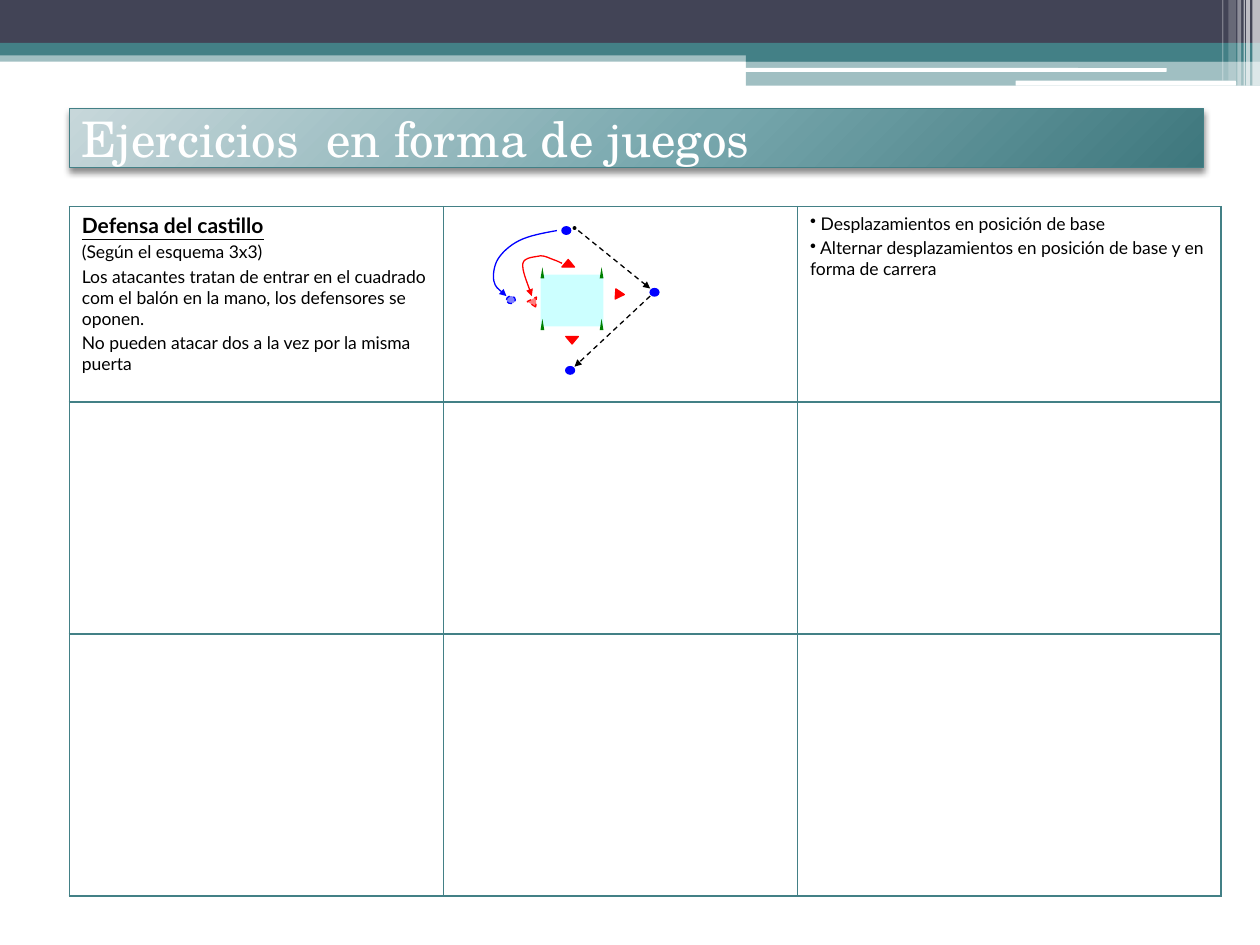
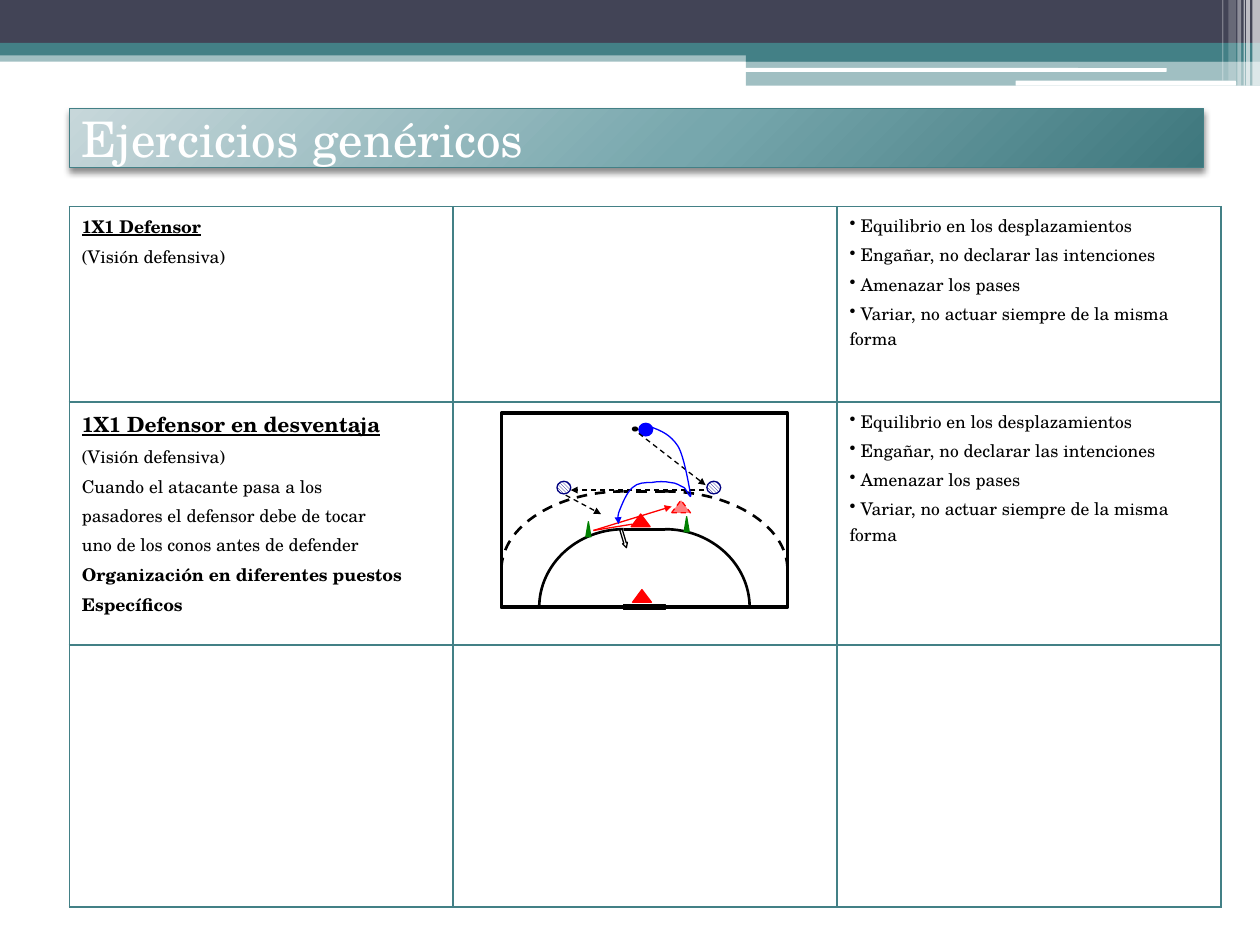
from dataclasses import dataclass

from lxml.etree import SubElement
from pptx import Presentation
from pptx.dml.color import RGBColor
from pptx.enum.dml import MSO_LINE, MSO_PATTERN
from pptx.enum.shapes import MSO_CONNECTOR, MSO_SHAPE
from pptx.enum.text import MSO_ANCHOR, PP_ALIGN
from pptx.oxml import parse_xml
from pptx.oxml.ns import nsdecls, qn
from pptx.util import Inches, Pt

TEAL = RGBColor(0x43, 0x80, 0x86)
SLATE = RGBColor(0x42, 0x44, 0x56)
WHITE = RGBColor(0xFF, 0xFF, 0xFF)
BLACK = RGBColor(0x00, 0x00, 0x00)
BLUE = RGBColor(0x00, 0x00, 0xFF)
NAVY = RGBColor(0x00, 0x00, 0x80)
RED = RGBColor(0xFF, 0x00, 0x00)
GREEN = RGBColor(0x00, 0x80, 0x00)
PALE_CYAN = RGBColor(0xCC, 0xFF, 0xFF)
SERIF = "TeX Gyre Schola"
SANS = "Lato"

RECTANGLE = MSO_SHAPE.RECTANGLE
ROUNDED = MSO_SHAPE.ROUNDED_RECTANGLE
OVAL = MSO_SHAPE.OVAL
TRIANGLE = MSO_SHAPE.ISOSCELES_TRIANGLE

BANDS = [
    (RECTANGLE, (0, 0.4, 10, 0.09), TEAL, 50),
    (RECTANGLE, (0, 0, 10, 0.34), SLATE, 100),
    (RECTANGLE, (0, 0.34, 10, 0.1), TEAL, 100),
    (RECTANGLE, (5.92, 0.39, 4.08, 0.1), TEAL, 100),
    (RECTANGLE, (5.92, 0.48, 4.08, 0.2), TEAL, 50),
    (ROUNDED, (5.91, 0.54, 3.35, 0.03), WHITE, 100),
    (ROUNDED, (8.06, 0.64, 1.75, 0.04), WHITE, 100),
    (RECTANGLE, (9.94, 0, 0.06, 0.68), WHITE, 65),
    (RECTANGLE, (9.89, 0, 0.03, 0.68), WHITE, 65),
    (RECTANGLE, (9.87, 0, 0.01, 0.68), WHITE, 60),
    (RECTANGLE, (9.82, 0, 0.03, 0.68), WHITE, 40),
    (RECTANGLE, (9.75, 0, 0.06, 0.64), WHITE, 20),
    (RECTANGLE, (9.7, 0, 0.01, 0.64), WHITE, 30),
]

TITLE_GRADIENT = f"""<a:gradFill {nsdecls('a')} rotWithShape="1"><a:gsLst>
<a:gs pos="0"><a:srgbClr val="C7D7DA"/></a:gs>
<a:gs pos="55000"><a:srgbClr val="77A7AD"/></a:gs>
<a:gs pos="100000"><a:srgbClr val="3E777D"/></a:gs></a:gsLst>
<a:path path="circle"><a:fillToRect l="-40000" t="-90000" r="140000" b="190000"/></a:path>
</a:gradFill>"""
TITLE_SHADOW = f"""<a:effectLst {nsdecls('a')}>
<a:outerShdw blurRad="50800" dist="25400" dir="5400000" rotWithShape="0">
<a:srgbClr val="000000"><a:alpha val="45000"/></a:srgbClr></a:outerShdw></a:effectLst>"""


@dataclass(frozen=True)
class TextStyle:
    """Look of one paragraph in a table cell."""

    size: int = 10
    bold: bool = False
    underline: bool = False
    bullet: bool = False


HEADING = TextStyle(12, True, True)
SUBHEADING = TextStyle(10, True, True)
BODY = TextStyle()
STRONG = TextStyle(bold=True)
BULLET = TextStyle(bullet=True)

CASTLE_CELLS = {
    (0, 0): [
        ("Defensa del castillo", HEADING),
        ("(Según el esquema 3x3)", BODY),
        ("Los atacantes tratan de entrar en el cuadrado com el balón en la mano, "
         "los defensores se oponen.", BODY),
        ("No pueden atacar dos a la vez por la misma puerta", BODY),
    ],
    (0, 2): [
        (" Desplazamientos en posición de base", BULLET),
        (" Alternar desplazamientos en posición de base y en forma de carrera", BULLET),
    ],
}
DEFENDER_TIPS = [
    (" Equilibrio en los desplazamientos", BULLET),
    (" Engañar, no declarar las intenciones", BULLET),
    (" Amenazar los pases", BULLET),
    (" Variar, no actuar siempre de la misma forma", BULLET),
]
DEFENDER_CELLS = {
    (0, 0): [("1X1 Defensor", SUBHEADING), ("(Visión defensiva)", BODY)],
    (0, 2): DEFENDER_TIPS,
    (1, 0): [
        ("1X1 Defensor en desventaja", HEADING),
        ("(Visión defensiva)", BODY),
        ("Cuando el atacante pasa a los", BODY),
        ("pasadores el defensor debe de tocar", BODY),
        ("uno de los conos antes de defender", BODY),
        ("Organización en diferentes puestos", STRONG),
        ("Específicos", STRONG),
    ],
    (1, 2): DEFENDER_TIPS,
}


def style_line(shape, color, width=0.75, dashed=False, arrow=False):
    """Set colour, width, dash and arrowhead of an outline or line."""
    shape.line.color.rgb = color
    shape.line.width = Pt(width)
    if dashed:
        shape.line.dash_style = MSO_LINE.DASH
    if arrow:
        SubElement(shape.get_or_add_ln(), qn("a:tailEnd"), type="triangle", w="sm", len="sm")


def add_figure(slide, kind, box, fill, opacity=100, line=None, width=0.75,
               dashed=False, rotation=0):
    """Add a filled preset shape, with an outline if a line colour is given."""
    shape = slide.shapes.add_shape(kind, *map(Inches, box))
    shape.shadow.inherit = False
    shape.rotation = rotation
    shape.fill.solid()
    shape.fill.fore_color.rgb = fill
    if opacity < 100:
        color = shape._element.spPr.find(qn("a:solidFill")).find(qn("a:srgbClr"))
        SubElement(color, qn("a:alpha"), val=str(opacity * 1000))
    if line is None:
        shape.line.fill.background()
    else:
        style_line(shape, line, width, dashed)
    return shape


def add_line(slide, start, end, color=BLACK, width=0.75, dashed=False, arrow=False):
    """Add a straight connector without shadow."""
    connector = slide.shapes.add_connector(
        MSO_CONNECTOR.STRAIGHT, *map(Inches, (*start, *end)))
    style_line(connector, color, width, dashed, arrow)
    SubElement(connector._element.spPr, qn("a:effectLst"))


def add_curve(slide, points, color, width=0.75, dashed=False, arrow=False):
    """Add an open cubic outline: a start, then two controls and an end per segment."""
    start, *vertices = [tuple(map(Inches, point)) for point in points]
    builder = slide.shapes.build_freeform(*start)
    builder.add_line_segments(vertices, close=False)
    shape = builder.convert_to_shape()
    outline = next(shape._element.iter(qn("a:path")))
    segments = outline.findall(qn("a:lnTo"))
    for first in range(0, len(segments), 3):
        curve = SubElement(outline, qn("a:cubicBezTo"))
        for segment in segments[first:first + 3]:
            curve.append(segment[0])
            outline.remove(segment)
    shape.shadow.inherit = False
    shape.fill.background()
    style_line(shape, color, width, dashed, arrow)


def add_title(slide, text):
    """Add the gradient title bar."""
    shape = add_figure(slide, RECTANGLE, (0.55, 0.86, 9, 0.47), TEAL, line=TEAL)
    properties = shape._element.spPr
    properties.replace(properties.find(qn("a:solidFill")), parse_xml(TITLE_GRADIENT))
    properties.replace(properties.find(qn("a:effectLst")), parse_xml(TITLE_SHADOW))
    frame = shape.text_frame
    frame.word_wrap = True
    frame.vertical_anchor = MSO_ANCHOR.MIDDLE
    paragraph = frame.paragraphs[0]
    paragraph.text = text
    paragraph.alignment = PP_ALIGN.LEFT
    paragraph.font.name = SERIF
    paragraph.font.size = Pt(28)
    paragraph.font.color.rgb = WHITE


def write_cell(cell, content, font_name):
    """Write styled paragraphs into a table cell."""
    frame = cell.text_frame
    for index, (text, style) in enumerate(content):
        paragraph = frame.add_paragraph() if index else frame.paragraphs[0]
        paragraph.text = text
        if style.bullet:
            properties = paragraph._p.get_or_add_pPr()
            SubElement(properties, qn("a:buFontTx"))
            SubElement(properties, qn("a:buChar"), char="•")
        if index:
            paragraph.space_before = Pt(2)
        font = paragraph.font
        font.name = font_name
        font.size = Pt(style.size)
        font.bold = style.bold
        font.underline = style.underline
        font.color.rgb = BLACK


def format_cell(cell):
    """Give a cell teal borders and no fill."""
    properties = cell._tc.get_or_add_tcPr()
    for side in ("a:lnL", "a:lnR", "a:lnT", "a:lnB"):
        border = SubElement(properties, qn(side), w=str(Pt(1)))
        fill = SubElement(border, qn("a:solidFill"))
        SubElement(fill, qn("a:srgbClr"), val=str(TEAL))
    cell.fill.background()


def add_exercise_table(slide, widths, heights, cells, font_name):
    """Add the exercise grid: description, drawing space and key points."""
    table = slide.shapes.add_table(
        len(heights), len(widths), Inches(0.55), Inches(1.64),
        Inches(sum(widths)), Inches(sum(heights))).table
    table.first_row = table.horz_banding = False
    for column, width in zip(table.columns, widths):
        column.width = Inches(width)
    for row, height in zip(table.rows, heights):
        row.height = Inches(height)
    for cell in table.iter_cells():
        format_cell(cell)
    for position, content in cells.items():
        write_cell(table.cell(*position), content, font_name)


def draw_castle(slide):
    """Draw the castle with its gates, defenders, attackers and moves."""
    add_figure(slide, OVAL, (4.55, 1.8, 0.02, 0.02), BLACK, line=BLACK)
    add_figure(slide, RECTANGLE, (4.29, 2.18, 0.5, 0.41), PALE_CYAN)
    for left in (4.29, 4.76):
        for top in (2.12, 2.53):
            add_figure(slide, TRIANGLE, (left, top, 0.03, 0.09), GREEN)
    for left, top in ((4.46, 1.8), (4.49, 2.91), (5.16, 2.29)):
        add_figure(slide, OVAL, (left, top, 0.07, 0.06), BLUE, line=BLUE)
    add_figure(slide, OVAL, (4.02, 2.35, 0.07, 0.06), BLUE, 50, BLUE, dashed=True)
    for box, rotation in (((4.46, 2.06, 0.1, 0.06), 0), ((4.49, 2.67, 0.1, 0.06), 180),
                          ((4.88, 2.3, 0.08, 0.07), 94)):
        add_figure(slide, TRIANGLE, box, RED, line=RED, rotation=rotation)
    add_figure(slide, TRIANGLE, (4.18, 2.36, 0.08, 0.07), RED, 50, RED,
               dashed=True, rotation=273.9)
    add_line(slide, (4.59, 1.83), (5.16, 2.29), dashed=True, arrow=True)
    add_line(slide, (5.16, 2.35), (4.56, 2.91), dashed=True, arrow=True)
    attacker_run = [(4.42, 1.83), (4.31, 1.85), (4.2, 1.87), (4.12, 1.91), (4.04, 1.95),
                    (3.98, 2.01), (3.95, 2.06), (3.92, 2.11), (3.91, 2.19), (3.92, 2.23),
                    (3.93, 2.28), (4, 2.33), (4.02, 2.35)]
    defender_run = [(4.46, 2.09), (4.44, 2.08), (4.42, 2.07), (4.39, 2.06), (4.36, 2.05),
                    (4.33, 2.03), (4.29, 2.03), (4.25, 2.04), (4.16, 2.04), (4.15, 2.09),
                    (4.14, 2.14), (4.21, 2.31), (4.22, 2.35)]
    add_curve(slide, attacker_run, BLUE, arrow=True)
    add_curve(slide, defender_run, RED, arrow=True)


def draw_court(slide):
    """Draw the half court with its goal, area line and free-throw line."""
    left_post, right_post, depth = 4.95, 5.28, 0.62
    add_figure(slide, RECTANGLE, (3.98, 3.28, 2.27, 1.54), WHITE, line=BLACK, width=2)
    for top, radius, dashed in ((4.2, 0.67, False), (3.9, 0.97, True)):
        for post, reach in ((left_post, -radius), (right_post, radius)):
            arc = [(post, top), (post + 0.55 * reach, top),
                   (post + reach, top + 0.45 * depth), (post + reach, top + depth)]
            add_curve(slide, arc, BLACK, 1.5, dashed)
        add_line(slide, (right_post, top), (left_post, top), width=1.5, dashed=dashed)
    add_figure(slide, RECTANGLE, (left_post, 4.8, 0.33, 0.04), BLACK, line=BLACK)


def draw_disadvantage(slide):
    """Draw the players, cones and moves on the court."""
    draw_court(slide)
    add_figure(slide, OVAL, (5.07, 3.36, 0.11, 0.1), BLUE, line=BLUE)
    add_figure(slide, OVAL, (5.02, 3.39, 0.04, 0.03), BLACK, line=BLACK)
    for left in (5.61, 4.42):
        passer = add_figure(slide, OVAL, (left, 3.82, 0.11, 0.1), WHITE, line=NAVY)
        passer.fill.patterned()
        passer.fill.pattern = MSO_PATTERN.DARK_DOWNWARD_DIAGONAL
        passer.fill.fore_color.rgb = NAVY
        passer.fill.back_color.rgb = WHITE
    for left, top in ((5.02, 4.68), (5.01, 4.08)):
        add_figure(slide, TRIANGLE, (left, top, 0.15, 0.1), RED, line=RED)
    add_figure(slide, TRIANGLE, (5.33, 3.97, 0.15, 0.1), RED, 50, RED, dashed=True)
    for start, end in (((5.07, 3.44), (5.6, 3.85)), ((5.59, 3.89), (4.53, 3.89)),
                       ((4.49, 3.93), (4.77, 4.08))):
        add_line(slide, start, end, dashed=True, arrow=True)
    shot = add_figure(slide, MSO_SHAPE.UP_ARROW, (4.93, 4.2, 0.04, 0.15), WHITE,
                      line=BLACK, rotation=163.4)
    shot.adjustments[1] = 0.97
    add_line(slide, (5.02, 4.16), (4.71, 4.21), RED)
    add_line(slide, (4.71, 4.21), (5.33, 4.02), RED, arrow=True)
    attacker_run = [(5.17, 3.39), (5.25, 3.42), (5.32, 3.45), (5.38, 3.54), (5.43, 3.62),
                    (5.47, 3.87), (5.48, 3.92), (5.49, 3.98), (5.45, 3.89), (5.43, 3.87),
                    (5.4, 3.86), (5.37, 3.83), (5.32, 3.83), (5.28, 3.82), (5.22, 3.82),
                    (5.17, 3.83), (5.12, 3.83), (5.06, 3.83), (5.02, 3.87), (4.97, 3.91),
                    (4.93, 4.02), (4.91, 4.07), (4.9, 4.12), (4.91, 4.15), (4.91, 4.16)]
    add_curve(slide, attacker_run, BLUE, arrow=True)
    for left, top in ((5.43, 4.1), (4.65, 4.14)):
        add_figure(slide, TRIANGLE, (left, top, 0.04, 0.12), GREEN, line=GREEN)


def add_exercise_slide(presentation, title):
    """Add a blank slide with the shared bands and title bar."""
    slide = presentation.slides.add_slide(presentation.slide_layouts[6])
    for kind, box, color, opacity in BANDS:
        add_figure(slide, kind, box, color, opacity)
    add_title(slide, title)
    return slide


def main():
    """Build both exercise slides and save them."""
    presentation = Presentation()
    presentation.slide_width, presentation.slide_height = Inches(10), Inches(7.5)
    slide = add_exercise_slide(presentation, "Ejercicios  en forma de juegos")
    add_exercise_table(slide, (2.97, 2.81, 3.36), (1.55, 1.84, 2.08), CASTLE_CELLS, SANS)
    draw_castle(slide)
    slide = add_exercise_slide(presentation, "Ejercicios genéricos")
    add_exercise_table(slide, (9.14 / 3,) * 3, (1.55, 1.93, 2.08), DEFENDER_CELLS, SERIF)
    draw_disadvantage(slide)
    presentation.save("out.pptx")


if __name__ == "__main__":
    main()
